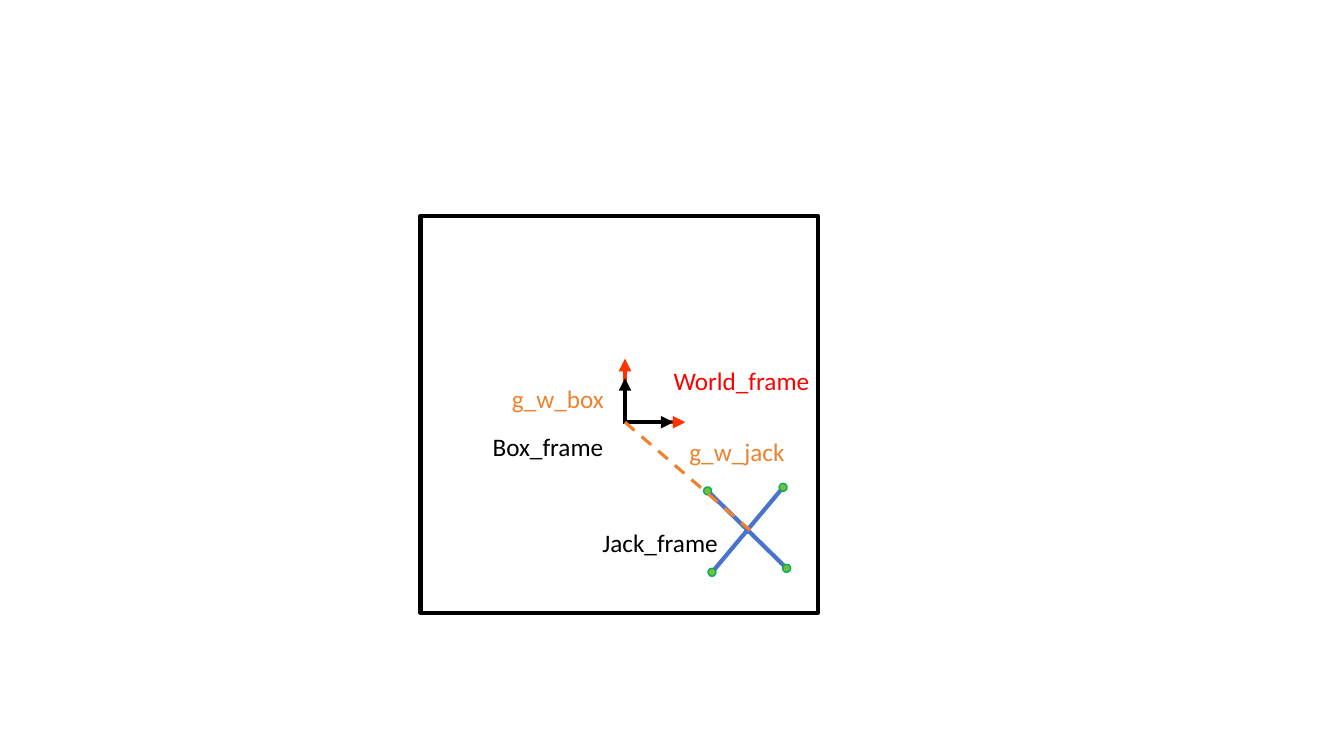
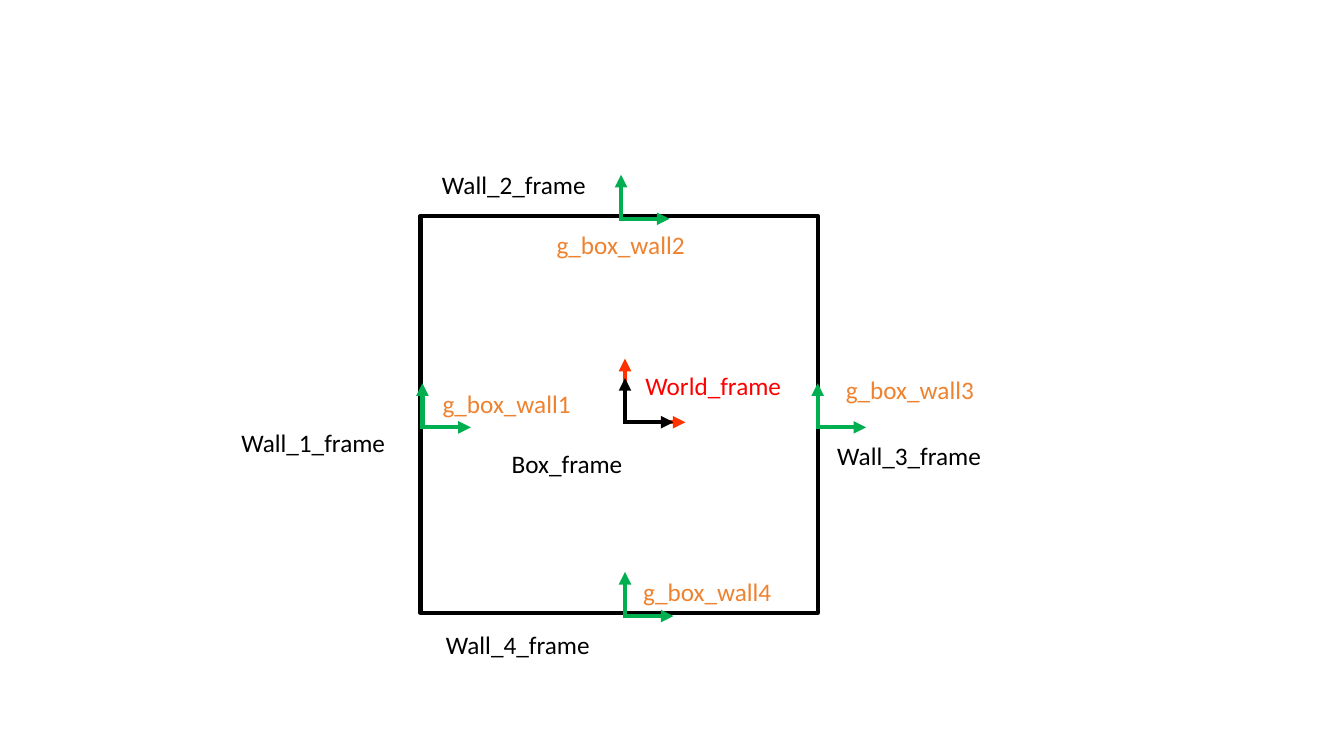
from dataclasses import dataclass

from pptx import Presentation
from pptx import util as u
from pptx.dml.color import RGBColor
from pptx.enum import dml, shapes, text
from pptx.oxml.ns import qn
from lxml import etree


@dataclass(frozen=True)
class Theme:
    font: str = "Calibri"
    size: float = 18
    thick: float = 3
    dash: float = 2.25
    thin: float = 1
    ink: str = "000000"
    world: str = "FF3300"
    red: str = "FF0000"
    wall: str = "00B050"
    ball: str = "75BD42"
    rod: str = "4874CB"
    link: str = "EE822F"


T = Theme()
WIDE, HIGH = u.Inches(13.33), u.Inches(7.5)
LEFT, TOP, SIDE = u.Inches(4.17), u.Inches(2.14), u.Inches(3.94)
MID = (51.5, 52)
FRAME, LINK = (46, 10), (43.4, 5.6)  # label sizes, in percent of the box side


def span(n):
    """Length of n percent of the box side."""
    return round(SIDE * n / 100)


def spot(x, y):
    """Slide position of a point given in percent of the box."""
    return LEFT + span(x), TOP + span(y)


def line(slide, start, end, color, width=T.thick, arrow=False, dash=False):
    edge = slide.shapes.add_connector(
        shapes.MSO_CONNECTOR.STRAIGHT, *spot(*start), *spot(*end))
    edge.line.color.rgb = RGBColor.from_string(color)
    edge.line.width = u.Pt(width)
    if dash:
        edge.line.dash_style = dml.MSO_LINE.DASH
    if arrow:
        tail = etree.SubElement(edge.line._get_or_add_ln(), qn("a:tailEnd"))
        tail.set("type", "triangle")
    etree.SubElement(edge._element.spPr, qn("a:effectLst"))


def shape(slide, kind, mid, size, edge, width, fill=None):
    """Preset shape around its middle point."""
    (x, y), (w, h) = mid, size
    item = slide.shapes.add_shape(
        kind, *spot(x - w / 2, y - h / 2), span(w), span(h))
    item.shadow.inherit = False
    if fill:
        item.fill.solid()
        item.fill.fore_color.rgb = RGBColor.from_string(fill)
    else:
        item.fill.background()
    item.line.color.rgb = RGBColor.from_string(edge)
    item.line.width = u.Pt(width)


def label(slide, words, x, y, color=T.ink, size=FRAME):
    """Text centred on x, with the top of its box at y."""
    w, h = size
    frame = slide.shapes.add_textbox(
        *spot(x - w / 2, y), span(w), span(h)).text_frame
    frame.word_wrap = True
    frame.text = words
    para = frame.paragraphs[0]
    para.alignment = text.PP_ALIGN.CENTER
    font = para.runs[0].font
    font.name, font.size = T.font, u.Pt(T.size)
    font.color.rgb = RGBColor.from_string(color)


def axes(slide, root, color, up=11.1, right=12.2):
    x, y = root
    line(slide, root, (x, y - up), color, arrow=True)
    line(slide, (x - 0.5, y), (x + right, y), color, arrow=True)


def base(deck, world, box):
    """Slide with the box and the two frames at its middle."""
    slide = deck.slides.add_slide(deck.slide_layouts[6])
    shape(slide, shapes.MSO_SHAPE.RECTANGLE, (50, 50), (100, 100),
          T.ink, T.thick)
    axes(slide, MID, T.world, 16, 15.2)
    label(slide, "World_frame", *world, T.red)
    axes(slide, MID, T.ink)
    label(slide, "Box_frame", *box)
    return slide


def jack(slide):
    hub = (82.4, 79.2)
    rods = [((72.3, 69.3), (92.2, 88.8)), ((73.4, 89.8), (91.3, 68.4))]
    oval = shapes.MSO_SHAPE.OVAL
    for rod in rods:
        line(slide, *rod, T.rod)
    for rod in rods:
        for end in rod:
            shape(slide, oval, end, (2, 2), T.wall, T.thin, T.ball)
    shape(slide, oval, hub, (1.3, 1.5), T.rod, T.thin, T.rod)
    label(slide, "Jack_frame", 60.3, 77.2)
    line(slide, MID, (83, 79.2), T.link, T.dash, dash=True)
    label(slide, "g_w_jack", 79.7, 54.3, T.link, LINK)
    label(slide, "g_w_box", 34.6, 40.9, T.link, LINK)


def walls(slide):
    # root of the axes, place of the frame name, place of the link name
    rows = [
        ((0.5, 53.3), (-27, 52), (21.7, 42.1)),
        ((50.5, 0.8), (23.5, -12.9), (50.4, 2.3)),
        ((100, 53.3), (123, 55.3), (123.2, 38.6)),
        ((51.5, 100.8), (24.5, 102.8), (72.2, 89.6)),
    ]
    for n, (root, name, link) in enumerate(rows, 1):
        axes(slide, root, T.wall)
        label(slide, f"Wall_{n}_frame", *name)
        label(slide, f"g_box_wall{n}", *link, T.link, LINK)


def main():
    deck = Presentation()
    deck.slide_width, deck.slide_height = WIDE, HIGH
    jack(base(deck, (80.8, 36.3), (32.1, 53)))
    walls(base(deck, (73.7, 37.6), (36.9, 57.4)))
    deck.save("out.pptx")


if __name__ == "__main__":
    main()
